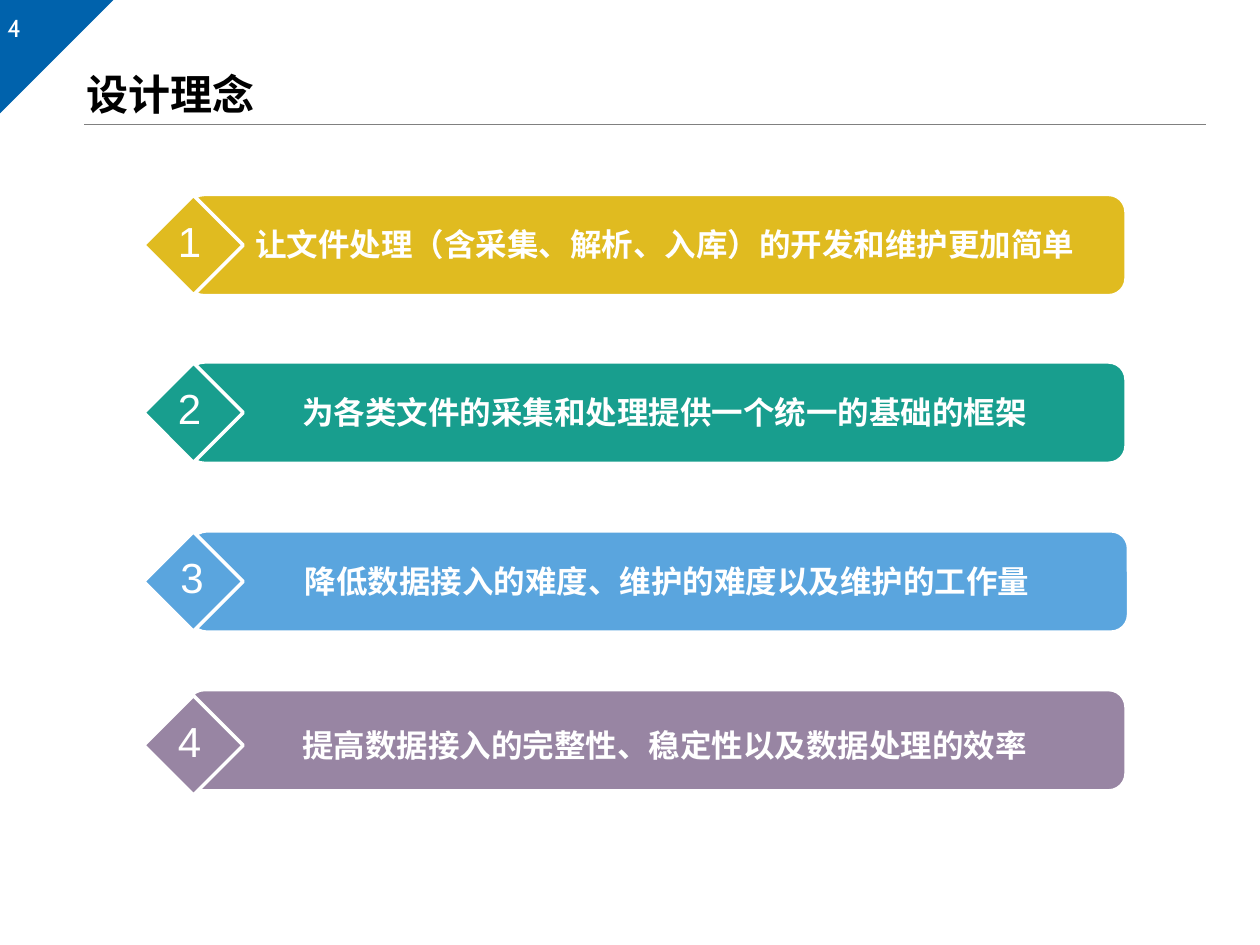
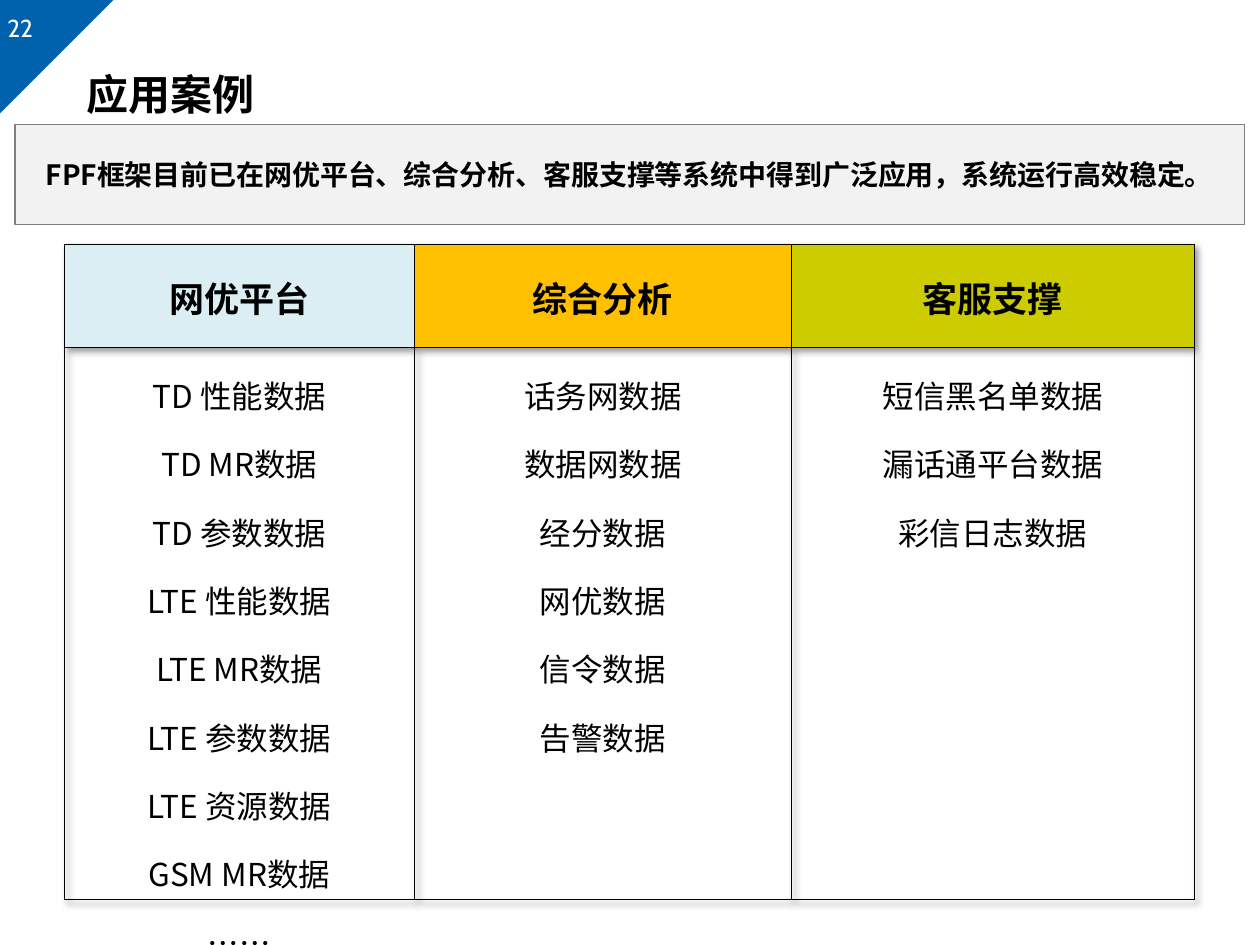
from lxml import etree
from pptx import Presentation
from pptx.dml.color import RGBColor
from pptx.enum.shapes import MSO_CONNECTOR, MSO_SHAPE
from pptx.enum.text import MSO_ANCHOR, PP_ALIGN
from pptx.oxml import parse_xml
from pptx.oxml.ns import nsdecls, qn
from pptx.util import Inches, Pt

LEFT, CENTER = PP_ALIGN.LEFT, PP_ALIGN.CENTER
TOP, MIDDLE = MSO_ANCHOR.TOP, MSO_ANCHOR.MIDDLE
RECTANGLE, ROUNDED = MSO_SHAPE.RECTANGLE, MSO_SHAPE.ROUNDED_RECTANGLE
DIAMOND, TRIANGLE = MSO_SHAPE.DIAMOND, MSO_SHAPE.RIGHT_TRIANGLE
STRAIGHT = MSO_CONNECTOR.STRAIGHT

BLACK = RGBColor(0x00, 0x00, 0x00)
WHITE = RGBColor(0xFF, 0xFF, 0xFF)
BLUE = RGBColor(0x00, 0x62, 0xAC)
GREY = RGBColor(0x80, 0x80, 0x80)
PALE_GREY = RGBColor(0xF2, 0xF2, 0xF2)
GOLD = RGBColor(0xE0, 0xBB, 0x20)
GREEN = RGBColor(0x18, 0x9E, 0x8E)
SKY = RGBColor(0x5A, 0xA5, 0xDE)
PURPLE = RGBColor(0x98, 0x85, 0xA3)
PALE_BLUE = RGBColor(0xDA, 0xEE, 0xF3)
AMBER = RGBColor(0xFF, 0xC0, 0x00)
LIME = RGBColor(0xCC, 0xCC, 0x00)

CHINESE = "Noto Sans CJK SC"
PAGE_NUMBER = {"name": "Cabin", "size": Pt(14)}
TITLE = {"name": CHINESE, "size": Pt(24), "bold": True}
IDEA = {"name": CHINESE, "size": Pt(18), "bold": True}
IDEA_NUMBER = {"name": "Arial", "size": Pt(24)}
BANNER = {"name": CHINESE, "size": Pt(16), "bold": True}
HEADING = {"name": CHINESE, "size": Pt(20), "bold": True}
BODY = {"name": CHINESE, "size": Pt(18), "bold": False}

# Text, colour, sideways shift, diamond top, bar top
IDEAS = [
    ("让文件处理（含采集、解析、入库）的开发和维护更加简单", GOLD, 0, 1.55, 1.55),
    ("为各类文件的采集和处理提供一个统一的基础的框架", GREEN, 0, 2.88, 2.88),
    ("降低数据接入的难度、维护的难度以及维护的工作量", SKY, 0.02, 4.22, 4.22),
    ("提高数据接入的完整性、稳定性以及数据处理的效率", PURPLE, 0, 5.52, 5.48),
]

# Heading, heading colour, column width, paragraphs made of lines
SYSTEMS = [
    ("网优平台", PALE_BLUE, 2.78, [
        ["TD 性能数据", "TD MR数据", "TD 参数数据", "LTE 性能数据",
         "LTE MR数据", "LTE 参数数据", "LTE 资源数据", "GSM MR数据"],
        ["……"]]),
    ("综合分析", AMBER, 2.99, [
        ["话务网数据", "数据网数据", "经分数据", "网优数据", "信令数据", "告警数据"]]),
    ("客服支撑", LIME, 3.2, [
        ["短信黑名单数据", "漏话通平台数据", "彩信日志数据"]]),
]


class Builder:
    """Holds the deck, its style and the current page."""

    def __init__(self):
        self.deck = Presentation()
        self.deck.slide_width, self.deck.slide_height = Inches(10), Inches(7.5)
        self.page = None

    def new_page(self, number, title):
        self.page = self.deck.slides.add_slide(self.deck.slide_layouts[6])
        corner = self.shape(TRIANGLE, 0, 0, 0.9, 0.9, BLUE)
        corner.rotation = 90
        self.text(str(number), -0.04, 0.05, 2.33, 0.31, PAGE_NUMBER, WHITE)
        self.rule(0.67, 0.99, 9.57)
        self.text(title, 0.59, 0.49, 3.9, 0.51, TITLE, BLACK, anchor=MIDDLE)

    def fill_text(self, frame, paragraphs, style, color, align, spacing=None):
        for index, text in enumerate(paragraphs):
            para = frame.add_paragraph() if index else frame.paragraphs[0]
            para.text = text
            para.alignment = align
            if spacing:
                para.line_spacing = spacing
            for span in para.runs:
                for key, value in style.items():
                    setattr(span.font, key, value)
                span.font.color.rgb = color
                # East Asian characters take their own typeface element
                etree.SubElement(span.font._element, qn("a:ea"),
                                 typeface=style["name"])

    def text(self, text, left, top, width, height, style, color,
             align=LEFT, anchor=TOP, wrap=True):
        box = self.page.shapes.add_textbox(
            Inches(left), Inches(top), Inches(width), Inches(height))
        frame = box.text_frame
        frame.word_wrap = wrap
        frame.vertical_anchor = anchor
        self.fill_text(frame, [text], style, color, align)

    def shape(self, kind, left, top, width, height, fill, line=None, weight=1):
        shape = self.page.shapes.add_shape(
            kind, Inches(left), Inches(top), Inches(width), Inches(height))
        shape.shadow.inherit = False
        shape.fill.solid()
        shape.fill.fore_color.rgb = fill
        if line is None:
            shape.line.fill.background()
        else:
            shape.line.color.rgb = line
            shape.line.width = Pt(weight)
        return shape

    def rule(self, left, top, right):
        line = self.page.shapes.add_connector(
            STRAIGHT, Inches(left), Inches(top), Inches(right), Inches(top))
        line.line.color.rgb = GREY
        line.line.width = Pt(0.75)
        etree.SubElement(line._element.spPr, qn("a:effectLst"))

    def banner(self, text, left, top, width, height):
        box = self.shape(RECTANGLE, left, top, width, height, PALE_GREY, GREY, 0.75)
        box.text_frame.word_wrap = True
        box.text_frame.vertical_anchor = MIDDLE
        self.fill_text(box.text_frame, [text], BANNER, BLACK, CENTER)

    def idea(self, number, text, color, shift, top, bar_top):
        bar = self.shape(ROUNDED, 1.49 + shift, bar_top, 7.44, 0.79, color, WHITE)
        bar.adjustments[0] = 0.167
        self.shape(DIAMOND, 1.14, top, 0.79, 0.79, color, WHITE, 2)
        self.text(text, 1.81 + shift, top + 0.19, 6.93, 0.4, IDEA, WHITE, CENTER)
        self.text(str(number), 1.31 + shift, top + 0.11, 0.39, 0.5,
                  IDEA_NUMBER, WHITE, CENTER, wrap=False)

    def cell(self, cell, paragraphs, style, fill=None, anchor=TOP, spacing=None):
        cell.margin_left = cell.margin_right = cell.margin_top = Inches(0.01)
        cell.margin_bottom = 0
        cell.vertical_anchor = anchor
        if fill is None:
            cell.fill.background()
        else:
            cell.fill.solid()
            cell.fill.fore_color.rgb = fill
        self.fill_text(cell.text_frame, paragraphs, style, BLACK, CENTER, spacing)
        # Borders come before the fill
        properties = cell._tc.get_or_add_tcPr()
        for index, side in enumerate(("lnL", "lnR", "lnT", "lnB")):
            properties.insert(index, parse_xml(
                f'<a:{side} {nsdecls("a")} w="{Pt(0.5)}"><a:solidFill>'
                f'<a:srgbClr val="{BLACK}"/></a:solidFill></a:{side}>'))

    def systems_table(self, left, top, heights):
        width = sum(system[2] for system in SYSTEMS)
        table = self.page.shapes.add_table(
            len(heights), len(SYSTEMS), Inches(left), Inches(top),
            Inches(width), Inches(sum(heights))).table
        table.horz_banding = False
        for row, height in zip(table.rows, heights):
            row.height = Inches(height)
        for index, (heading, color, column_width, groups) in enumerate(SYSTEMS):
            table.columns[index].width = Inches(column_width)
            self.cell(table.cell(0, index), [heading], HEADING, color, MIDDLE)
            self.cell(table.cell(1, index), ["\v".join(lines) for lines in groups],
                      BODY, spacing=1.5)
        # Soft shadow below and to the right of the table
        table._tbl.tblPr.insert(0, parse_xml(
            f'<a:effectLst {nsdecls("a")}><a:outerShdw blurRad="{Pt(4)}" '
            f'dist="{Pt(3)}" dir="2700000"><a:srgbClr val="{BLACK}">'
            '<a:alpha val="40000"/></a:srgbClr></a:outerShdw></a:effectLst>'))


def main():
    builder = Builder()

    # Design ideas
    builder.new_page(4, "设计理念")
    for number, idea in enumerate(IDEAS, 1):
        builder.idea(number, *idea)

    # Application cases
    builder.new_page(22, "应用案例")
    builder.systems_table(0.51, 1.94, [0.82, 4.38])
    builder.banner("FPF框架目前已在网优平台、综合分析、客服支撑等系统中得到广泛应用，"
                   "系统运行高效稳定。", 0.12, 0.99, 9.76, 0.79)

    builder.deck.save("out.pptx")


if __name__ == "__main__":
    main()
